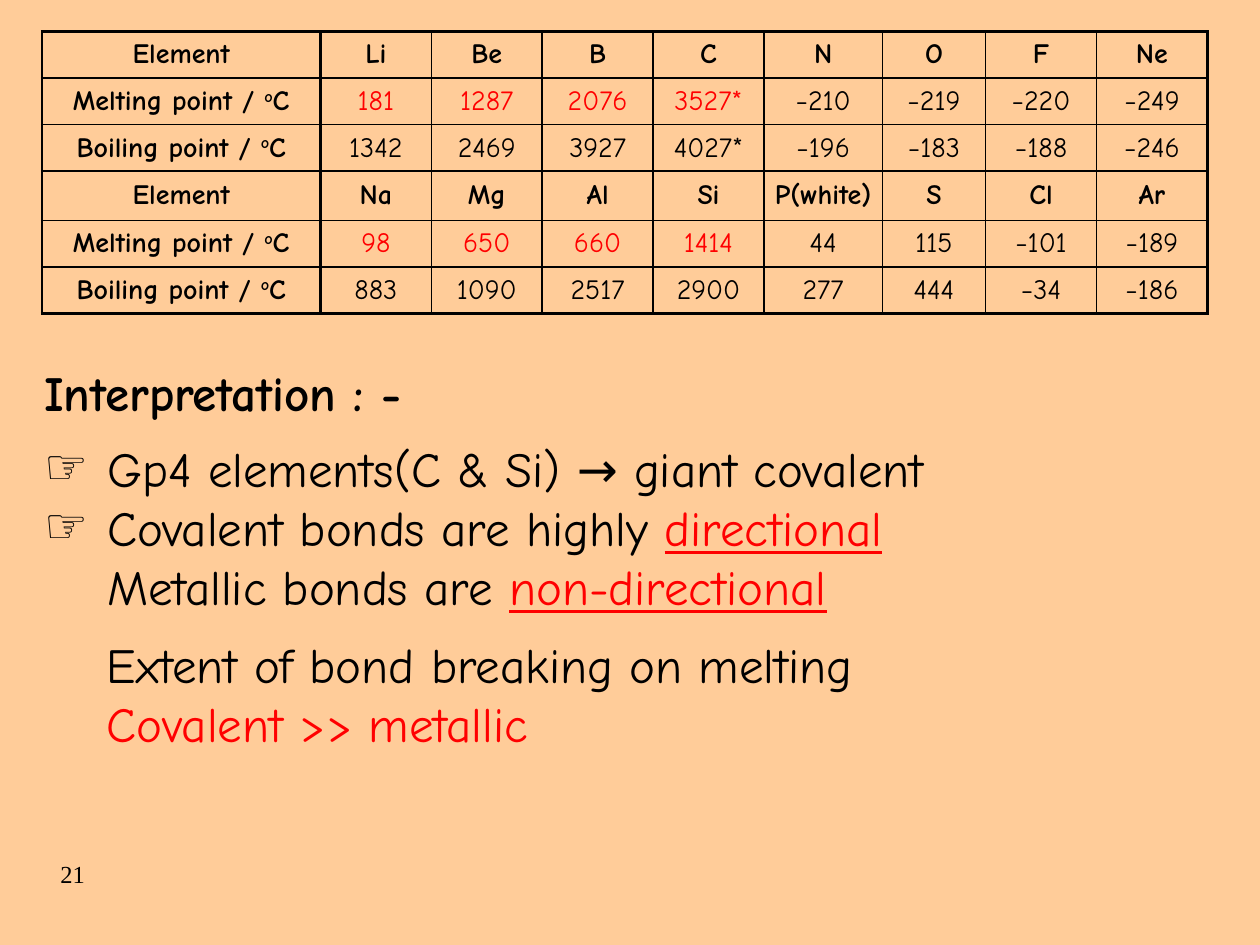
from lxml.etree import SubElement
from pptx import Presentation
from pptx.dml.color import RGBColor
from pptx.enum.text import MSO_ANCHOR, MSO_AUTO_SIZE, PP_ALIGN
from pptx.oxml.ns import qn
from pptx.util import Pt

BLACK, RED, PEACH = "000000", "FF0000", "FFCC99"
PROPERTIES = [
    ["Element", "Li", "Be", "B", "C", "N", "O", "F", "Ne"],
    ["Melting point / ", "181", "1287", "2076", "3527*", "−210", "−219", "−220", "−249"],
    ["Boiling point / ", "1342", "2469", "3927", "4027*", "−196", "−183", "−188", "−246"],
    ["Element", "Na", "Mg", "Al", "Si", "P(white)", "S", "Cl", "Ar"],
    ["Melting point / ", "98", "650", "660", "1414", "44", "115", "−101", "−189"],
    ["Boiling point / ", "883", "1090", "2517", "2900", "277", "444", "−34", "−186"],
]
COLUMN_WIDTHS = [159.12] + [63.36] * 4 + [67.68, 59.04] + [63.36] * 2
ROW_HEIGHTS = [26.64] * 3 + [28.08] + [26.64] * 2
PERIOD_ROWS = 3
BOND_POINTS = [
    (True, [("Gp4 elements(C & Si) → giant covalent", {})]),
    (True, [("Covalent bonds are highly ", {}),
            ("directional", {"color": RED, "underline": True})]),
    (False, [("Metallic bonds are ", {}),
             ("non-directional", {"color": RED, "underline": True})]),
]
MELTING_NOTES = [("Extent of bond breaking on melting", BLACK),
                 ("Covalent >> metallic", RED)]


def rgb(code):
    """Turn a hex string into a colour."""
    return RGBColor.from_string(code)


def add_text(paragraph, text, size=28, font="Comic Neue", color=BLACK,
             bold=False, underline=False, baseline=0):
    """Append a formatted run to a paragraph."""
    run = paragraph.add_run()
    run.text = text
    run.font.size = Pt(size)
    run.font.name = font
    run.font.color.rgb = rgb(color)
    run.font.bold = bold
    run.font.underline = underline
    if baseline:
        run.font._element.set("baseline", str(baseline * 1000))


def place(box, left, top, width, height):
    """Position a text shape and return its top-anchored, wrapping frame."""
    box.left, box.top, box.width, box.height = (Pt(n) for n in (left, top, width, height))
    frame = box.text_frame
    frame.word_wrap = True
    frame.auto_size = MSO_AUTO_SIZE.NONE
    frame.vertical_anchor = MSO_ANCHOR.TOP
    return frame


def add_box(slide, *bounds):
    """Add a text box and return its frame."""
    return place(slide.shapes.add_textbox(0, 0, 0, 0), *bounds)


def paragraphs(frame, count):
    """Return the given number of left-aligned, tightly spaced paragraphs."""
    for _ in range(count - 1):
        frame.add_paragraph()
    for paragraph in frame.paragraphs:
        paragraph.alignment = PP_ALIGN.LEFT
        paragraph.space_before = Pt(0)
    return frame.paragraphs


def indent(paragraph, margin, first_line=0, bullet=None):
    """Set the paragraph indents and its bullet character."""
    properties = paragraph._p.get_or_add_pPr()
    properties.set("marL", str(Pt(margin)))
    properties.set("indent", str(Pt(first_line)))
    if bullet:
        SubElement(properties, qn("a:buChar"), char=bullet)
    else:
        SubElement(properties, qn("a:buNone"))


def add_border(cell, side, width):
    """Draw one black edge of a table cell."""
    line = SubElement(cell._tc.get_or_add_tcPr(), qn(f"a:ln{side}"), w=str(Pt(width)))
    fill = SubElement(line, qn("a:solidFill"))
    SubElement(fill, qn("a:srgbClr"), val=BLACK)


def edge_width(edge, heavy_edges):
    """Give the line width of a grid edge."""
    return 1.5 if edge in heavy_edges else 1


def fill_cell(cell, row, column, text):
    """Write and outline one cell of the properties table."""
    heavy_columns = (0, 1, len(COLUMN_WIDTHS))
    heavy_rows = range(0, len(ROW_HEIGHTS) + 1, PERIOD_ROWS)
    for side, edge, heavy in (("L", column, heavy_columns), ("R", column + 1, heavy_columns),
                              ("T", row, heavy_rows), ("B", row + 1, heavy_rows)):
        add_border(cell, side, edge_width(edge, heavy))
    cell.fill.background()
    cell.vertical_anchor = MSO_ANCHOR.MIDDLE
    cell.margin_left = cell.margin_right = Pt(1.44)
    cell.margin_top = cell.margin_bottom = Pt(0)

    paragraph = cell.text_frame.paragraphs[0]
    paragraph.alignment = PP_ALIGN.CENTER
    row_in_period = row % PERIOD_ROWS
    heading = row_in_period == 0 or column == 0
    highlighted = row_in_period == 1 and 1 <= column <= 4
    add_text(paragraph, text, size=16, bold=heading, color=RED if highlighted else BLACK)
    if column == 0 and row_in_period:
        add_text(paragraph, "o", size=16, bold=True, baseline=30)
        add_text(paragraph, "C", size=16, bold=True)


def add_properties_table(slide):
    """Add the table of melting and boiling points."""
    table = slide.shapes.add_table(len(ROW_HEIGHTS), len(COLUMN_WIDTHS), Pt(24), Pt(18),
                                   Pt(sum(COLUMN_WIDTHS)), Pt(sum(ROW_HEIGHTS))).table
    table.first_row = table.horz_banding = False
    for column, width in zip(table.columns, COLUMN_WIDTHS):
        column.width = Pt(width)
    for row, height in zip(table.rows, ROW_HEIGHTS):
        row.height = Pt(height)
    for row, values in enumerate(PROPERTIES):
        for column, text in enumerate(values):
            fill_cell(table.cell(row, column), row, column, text)


def add_bond_points(body):
    """Write the bulleted comparison of bonds."""
    frame = place(body, 18, 247, 702, 109.44)
    for paragraph, (marked, pieces) in zip(paragraphs(frame, len(BOND_POINTS)), BOND_POINTS):
        indent(paragraph, 36, -36 if marked else 0, "☞" if marked else None)
        for text, style in pieces:
            add_text(paragraph, text, **style)


def add_melting_notes(slide):
    """Write the conclusion on bond breaking."""
    frame = add_box(slide, 18, 359.28, 558, 74.88)
    for paragraph, (text, color) in zip(paragraphs(frame, len(MELTING_NOTES)), MELTING_NOTES):
        indent(paragraph, 36)
        add_text(paragraph, text, color=color)


def main():
    """Build and save the slide."""
    deck = Presentation()
    deck.slide_width, deck.slide_height = Pt(720), Pt(540)
    slide = deck.slides.add_slide(deck.slide_layouts[1])
    slide.background.fill.solid()
    slide.background.fill.fore_color.rgb = rgb(PEACH)

    page_number = add_box(slide, 27.36, 487.44, 102.24, 36)
    add_text(page_number.paragraphs[0], "21", size=14, font="Times New Roman")
    add_properties_table(slide)
    heading = place(slide.shapes.title, 18, 203.76, 329.76, 41.04)
    add_text(paragraphs(heading, 1)[0], "Interpretation : -", bold=True)
    add_bond_points(slide.placeholders[1])
    add_melting_notes(slide)
    deck.save("out.pptx")


if __name__ == "__main__":
    main()
